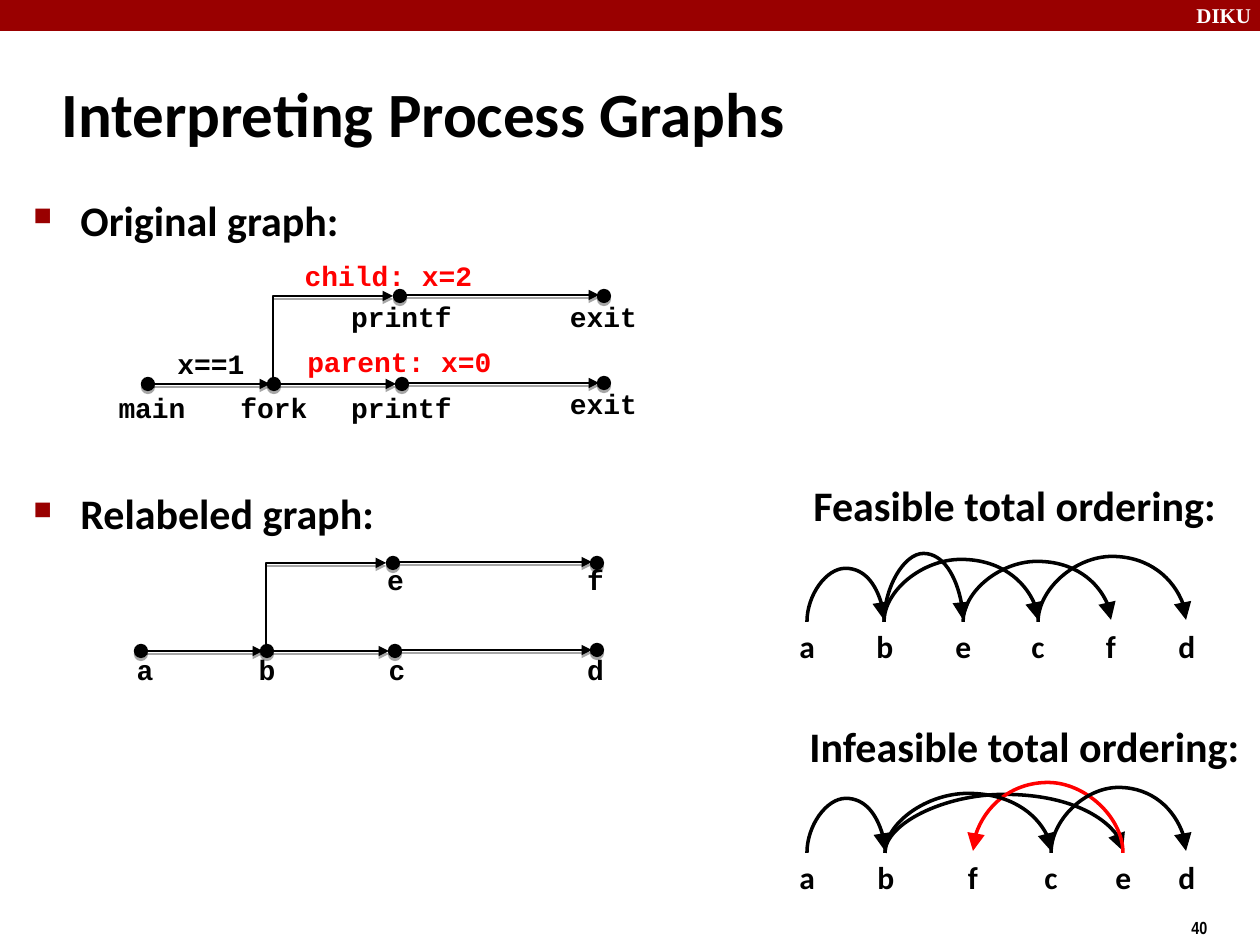
from lxml import etree
from pptx import Presentation
from pptx.dml.color import RGBColor
from pptx.enum.shapes import MSO_CONNECTOR, MSO_SHAPE
from pptx.enum.text import MSO_ANCHOR, PP_ALIGN
from pptx.oxml import parse_xml
from pptx.oxml.ns import qn
from pptx.util import Pt

STRAIGHT = MSO_CONNECTOR.STRAIGHT
RECTANGLE, OVAL = MSO_SHAPE.RECTANGLE, MSO_SHAPE.OVAL
LEFT, CENTER = PP_ALIGN.LEFT, PP_ALIGN.CENTER
TOP, MIDDLE = MSO_ANCHOR.TOP, MSO_ANCHOR.MIDDLE

EMU_PER_INCH, PX_PER_INCH = 914400, 126
PX = EMU_PER_INCH / PX_PER_INCH
NAMESPACE = "http://schemas.openxmlformats.org/drawingml/2006/main"
SHADOW = (
    f'<a:effectLst xmlns:a="{NAMESPACE}"><a:outerShdw blurRad="0" dist="22000" dir="5400000" '
    'rotWithShape="0"><a:srgbClr val="000000"><a:alpha val="35000"/></a:srgbClr>'
    '</a:outerShdw></a:effectLst>'
)
NO_EFFECT = f'<a:effectLst xmlns:a="{NAMESPACE}"/>'


class Theme:
    black = RGBColor(0x00, 0x00, 0x00)
    white = RGBColor(0xFF, 0xFF, 0xFF)
    red = RGBColor(0xFF, 0x00, 0x00)
    maroon = RGBColor(0x99, 0x00, 0x00)
    body, code, brand, number = "Calibri", "Courier New", "Times New Roman", "Arial Narrow"
    title_size, heading_size, letter_size = 36, 24, 18
    code_size, brand_size, number_size = 16, 12, 10
    edge_width, arc_width, dot_line = 1, 2, 0.75


deck = Presentation()
deck.slide_width, deck.slide_height = round(1260 * PX), round(945 * PX)
page = deck.slides.add_slide(deck.slide_layouts[6])
shapes = page.shapes


def add_text(lines, box, size, font=Theme.body, color=Theme.black,
             align=LEFT, anchor=TOP, wrap=True):
    """Add a bold text box; box is left, top, width, height in px."""
    text_box = shapes.add_textbox(*(round(value * PX) for value in box))
    frame = text_box.text_frame
    frame.word_wrap = wrap
    frame.vertical_anchor = anchor
    frame.text = lines
    for para in frame.paragraphs:
        para.alignment = align
        for span in para.runs:
            span.font.name, span.font.size = font, Pt(size)
            span.font.bold = True
            span.font.color.rgb = color
    return frame


def add_arrow(start, end, width, color=Theme.black, preset=None, rise=None, effect=NO_EFFECT):
    """Add an arrow; a preset connector leaves its start upwards, rise px high if curved."""
    arrow = shapes.add_connector(STRAIGHT, *(round(value * PX) for value in start + end))
    arrow.line.width = Pt(width)
    arrow.line.color.rgb = color
    properties = arrow._element.spPr
    head_size = "lg" if rise else "med"
    etree.SubElement(properties.find(qn("a:ln")), qn("a:tailEnd"),
                     type="triangle", w=head_size, len=head_size)
    properties.append(parse_xml(effect))
    if preset is None:
        return
    # The connector is drawn sideways about its centre and turned by a quarter.
    across, up = abs(end[0] - start[0]), start[1] - end[1]
    arrow.left = round((start[0] + end[0] - up) / 2 * PX)
    arrow.top = round((start[1] + end[1] - across) / 2 * PX)
    arrow.width, arrow.height = round(up * PX), round(across * PX)
    rightward = end[0] > start[0]
    frame = properties.find(qn("a:xfrm"))
    frame.set("rot", "5400000" if rightward else "16200000")
    frame.set("flipH", "1" if rightward else "0")
    frame.set("flipV", "1")
    geometry = properties.find(qn("a:prstGeom"))
    geometry.set("prst", preset)
    if rise:
        etree.SubElement(geometry.find(qn("a:avLst")), qn("a:gd"),
                         name="adj1", fmla=f"val {round(rise / up * 100000)}")


# Header, title and page number
header = shapes.add_shape(RECTANGLE, 0, 0, deck.slide_width, round(31 * PX))
header.shadow.inherit = False
header.fill.solid()
header.fill.fore_color.rgb = Theme.maroon
header.line.fill.background()
add_text("DIKU", (1184, -4, 84, 38), Theme.brand_size, Theme.brand, Theme.white)
add_text("40", (1179, 911, 95, 34), Theme.number_size, Theme.number, wrap=False)
add_text("Interpreting Process Graphs", (49, 60, 1046, 105), Theme.title_size, anchor=MIDDLE)

# Bulleted headings of the two graphs
headings = add_text("Original graph:\nRelabeled graph:", (21, 188, 648, 537), Theme.heading_size)
for para in headings.paragraphs:
    layout = para._p.get_or_add_pPr()
    layout.set("marL", str(round(47 * PX)))
    layout.set("indent", str(round(-47 * PX)))
    bullet_color = etree.SubElement(layout, qn("a:buClr"))
    etree.SubElement(bullet_color, qn("a:srgbClr"), val=str(Theme.maroon))
    etree.SubElement(layout, qn("a:buSzPct"), val="60000")
    etree.SubElement(layout, qn("a:buChar"), char="■")
headings.paragraphs[1].space_before = Pt(139)

# Process graphs: the same dots and edges, moved, with their own labels
DOT = 13
dots = [(148, 384), (274, 384), (402, 384), (400, 296), (604, 296), (604, 383)]
edges = [((280, 384), (396, 384)), ((154, 384), (270, 384)),
         ((404, 295), (599, 295)), ((404, 383), (599, 383))]
original_labels = [
    ("child: x=2", 262, 252, 253, Theme.red), ("parent: x=0", 273, 338, 253, Theme.red),
    ("x==1", 156, 340, 110, Theme.black), ("main", 106, 384, 92, Theme.black),
    ("fork", 228, 384, 92, Theme.black), ("printf", 336, 384, 131, Theme.black),
    ("printf", 336, 293, 131, Theme.black), ("exit", 538, 293, 131, Theme.black),
    ("exit", 538, 380, 131, Theme.black),
]
relabeled_labels = [
    ("a", 124, 646, 42, Theme.black), ("b", 221, 646, 92, Theme.black),
    ("c", 351, 646, 92, Theme.black), ("d", 530, 646, 131, Theme.black),
    ("e", 330, 556, 131, Theme.black), ("f", 530, 556, 131, Theme.black),
]
for shift_x, shift_y, labels in [(0, 0, original_labels), (-7, 267, relabeled_labels)]:
    for x, y in dots:
        dot = shapes.add_shape(OVAL, round((x + shift_x - DOT / 2) * PX),
                               round((y + shift_y - DOT / 2) * PX),
                               round(DOT * PX), round(DOT * PX))
        dot.fill.solid()
        dot.fill.fore_color.rgb = Theme.black
        dot.line.color.rgb = Theme.black
        dot.line.width = Pt(Theme.dot_line)
        dot._element.spPr.append(parse_xml(SHADOW))
    for start, end in edges:
        add_arrow((start[0] + shift_x, start[1] + shift_y),
                  (end[0] + shift_x, end[1] + shift_y), Theme.edge_width, effect=SHADOW)
    add_arrow((273 + shift_x, 384 + shift_y), (393 + shift_x, 296 + shift_y),
              Theme.edge_width, preset="bentConnector2", effect=SHADOW)
    for label, left, top, width, color in labels:
        add_text(label, (left, top, width, 47), Theme.code_size, Theme.code, color, CENTER)

# Total orderings: letter centres, then arcs as from, to, rise and colour
orderings = [
    ("Feasible total ordering:", (801, 473, 450, 63), 622,
     {"a": 807, "b": 884, "e": 963, "c": 1038, "f": 1111, "d": 1186},
     [("a", "b", 54, Theme.black), ("b", "e", 69, Theme.black), ("e", "f", 61, Theme.black),
      ("b", "c", 63, Theme.black), ("c", "d", 66, Theme.black)]),
    ("Infeasible total ordering:", (797, 714, 463, 63), 853,
     {"a": 807, "b": 885, "f": 973, "c": 1051, "e": 1123, "d": 1186},
     [("a", "b", 55, Theme.black), ("b", "e", 59, Theme.black), ("e", "f", 71, Theme.red),
      ("b", "c", 60, Theme.black), ("c", "d", 66, Theme.black)]),
]
for heading, box, baseline, centers, arcs in orderings:
    add_text(heading, box, Theme.heading_size)
    for letter, center in centers.items():
        add_text(letter, (center - 20, baseline - 1, 40, 50), Theme.letter_size,
                 align=CENTER, wrap=False)
    for first, second, rise, color in arcs:
        add_arrow((centers[first], baseline), (centers[second], baseline - 2),
                  Theme.arc_width, color, "curvedConnector3", rise)

deck.save("out.pptx")
